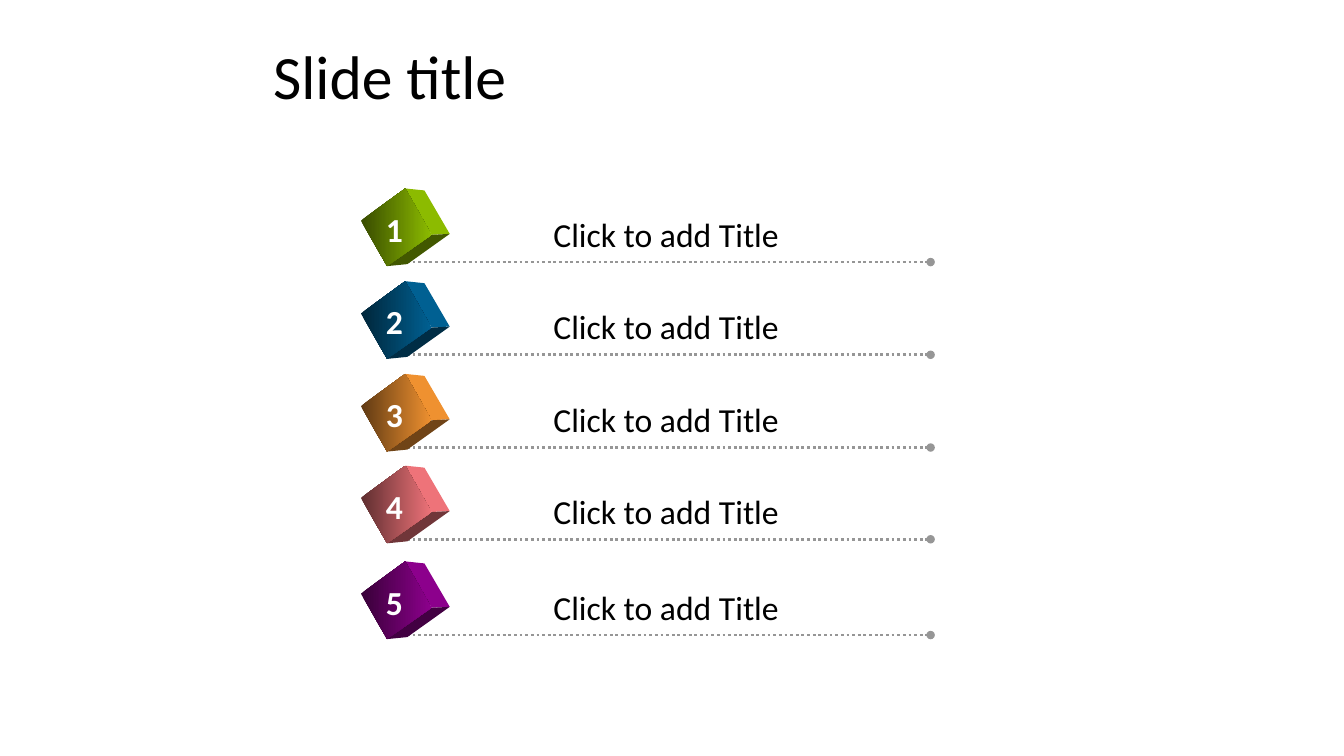
from dataclasses import dataclass

from lxml.etree import SubElement
from pptx import Presentation
from pptx.dml.color import RGBColor
from pptx.enum.dml import MSO_LINE
from pptx.enum.shapes import MSO_CONNECTOR
from pptx.enum.text import MSO_ANCHOR
from pptx.oxml.ns import qn
from pptx.util import Inches, Pt


@dataclass(frozen=True)
class Theme:
    font: str = "Calibri"
    title_size: int = 44
    item_size: int = 24
    text: str = "000000"
    number: str = "FFFFFF"
    rule: str = "969696"
    cubes: tuple = ("8CBB00", "006092", "EF9130", "EE7379", "8C008C")


THEME = Theme()
RULE_TOPS = (2.6, 3.52, 4.44, 5.35, 6.3)

# Cube corners, in inches from the left end of the row's rule
LEFT, TOP, MIDDLE, BOTTOM = (-0.4, -0.41), (0.04, -0.73), (0.3, -0.27), (-0.14, 0.04)
BACK_TOP, BACK_RIGHT, BACK_BOTTOM = (0.23, -0.71), (0.48, -0.28), (0.06, 0.02)


def shade(color, factor):
    return RGBColor(*(round(c * factor) for c in RGBColor.from_string(color)))


def add_text(shapes, text, x, y, w, h, *, size=THEME.item_size, color=THEME.text,
             bold=False, anchor=MSO_ANCHOR.TOP, spacing=1.0):
    s = shapes.add_textbox(Inches(x), Inches(y), Inches(w), Inches(h))
    tf = s.text_frame
    tf.word_wrap = True
    tf.vertical_anchor = anchor
    p = tf.paragraphs[0]
    p.line_spacing = spacing
    r = p.add_run()
    r.text = text
    r.font.name = THEME.font
    r.font.size = Pt(size)
    r.font.bold = bold
    r.font.color.rgb = RGBColor.from_string(color)


def add_rule(shapes, x, y, w):
    s = shapes.add_connector(MSO_CONNECTOR.STRAIGHT, Inches(x), Inches(y),
                             Inches(x + w), Inches(y))
    s.line.color.rgb = RGBColor.from_string(THEME.rule)
    s.line.width = Pt(2)
    s.line.dash_style = MSO_LINE.ROUND_DOT
    SubElement(s.line._get_or_add_ln(), qn("a:tailEnd"), type="oval")
    SubElement(s._element.spPr, qn("a:effectLst"))


def add_face(shapes, x, y, corners):
    points = [(Inches(x + dx), Inches(y + dy)) for dx, dy in corners]
    builder = shapes.build_freeform(*points[0], scale=1.0)
    builder.add_line_segments(points[1:], close=True)
    s = builder.convert_to_shape()
    s.shadow.inherit = False
    s.line.fill.background()
    return s


def add_cube(shapes, x, y, color):
    # Side and underside
    for corners, factor in (((TOP, BACK_TOP, BACK_RIGHT, MIDDLE), 1),
                            ((BOTTOM, MIDDLE, BACK_RIGHT, BACK_BOTTOM), 0.47)):
        fill = add_face(shapes, x, y, corners).fill
        fill.solid()
        fill.fore_color.rgb = shade(color, factor)
    # Front, lit from the right
    fill = add_face(shapes, x, y, (LEFT, TOP, MIDDLE, BOTTOM)).fill
    fill.gradient()
    fill.gradient_angle = 0
    for stop, factor in zip(fill.gradient_stops, (0.4, 1)):
        stop.color.rgb = shade(color, factor)


def add_item(slide, x, y, w, number, color):
    shapes = slide.shapes.add_group_shape().shapes
    add_rule(shapes, x, y, w)
    add_cube(shapes, x, y, color)
    add_text(shapes, "Click to add Title", x + 1.41, y - 0.53, 2.67, 0.5)
    add_text(shapes, str(number), x - 0.25, y - 0.58, 0.39, 0.5,
             color=THEME.number, bold=True)


def main():
    prs = Presentation()
    prs.slide_width, prs.slide_height = Inches(13.33), Inches(7.5)
    slide = prs.slides.add_slide(prs.slide_layouts[6])

    # Title
    add_text(slide.shapes, "Slide title", 2.61, 0.29, 9.81, 0.99,
             size=THEME.title_size, anchor=MSO_ANCHOR.MIDDLE, spacing=0.9)

    # Numbered list
    for number, (y, color) in enumerate(zip(RULE_TOPS, THEME.cubes), 1):
        add_item(slide, 3.98, y, 5.25, number, color)

    prs.save("out.pptx")


if __name__ == "__main__":
    main()
